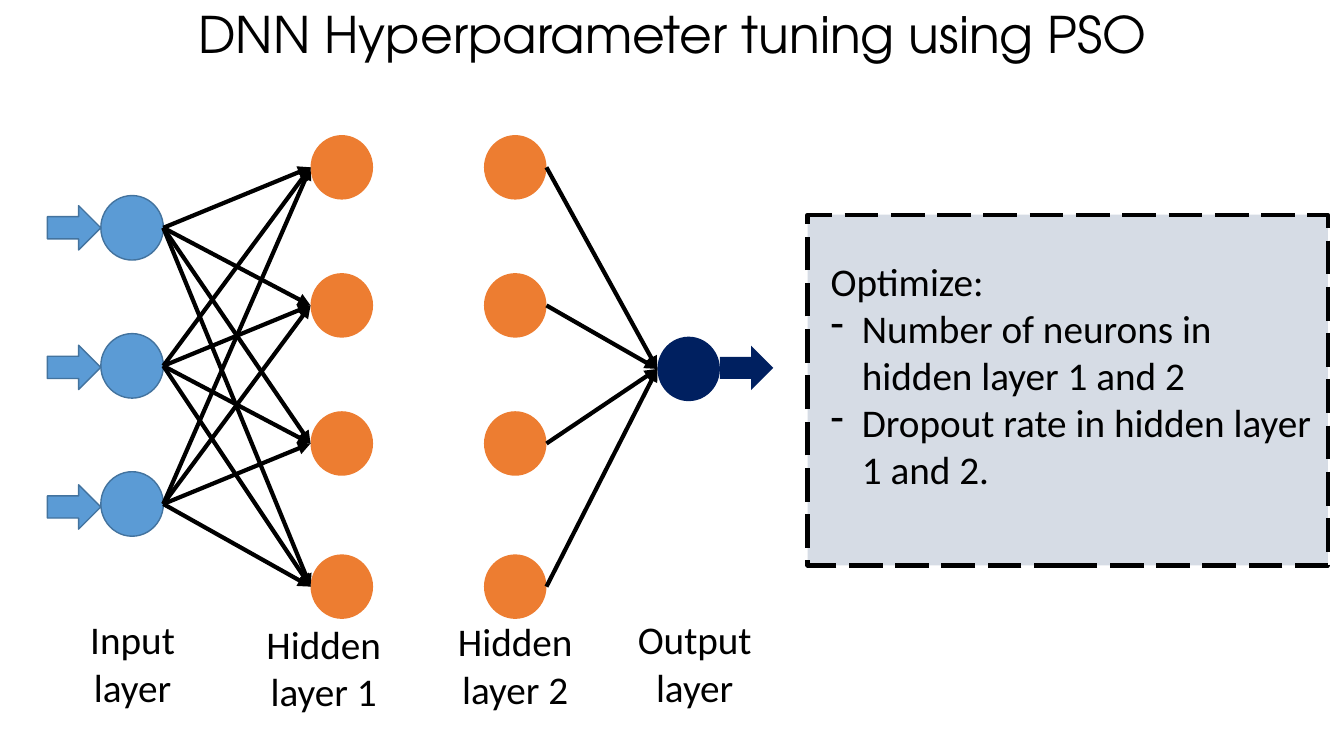
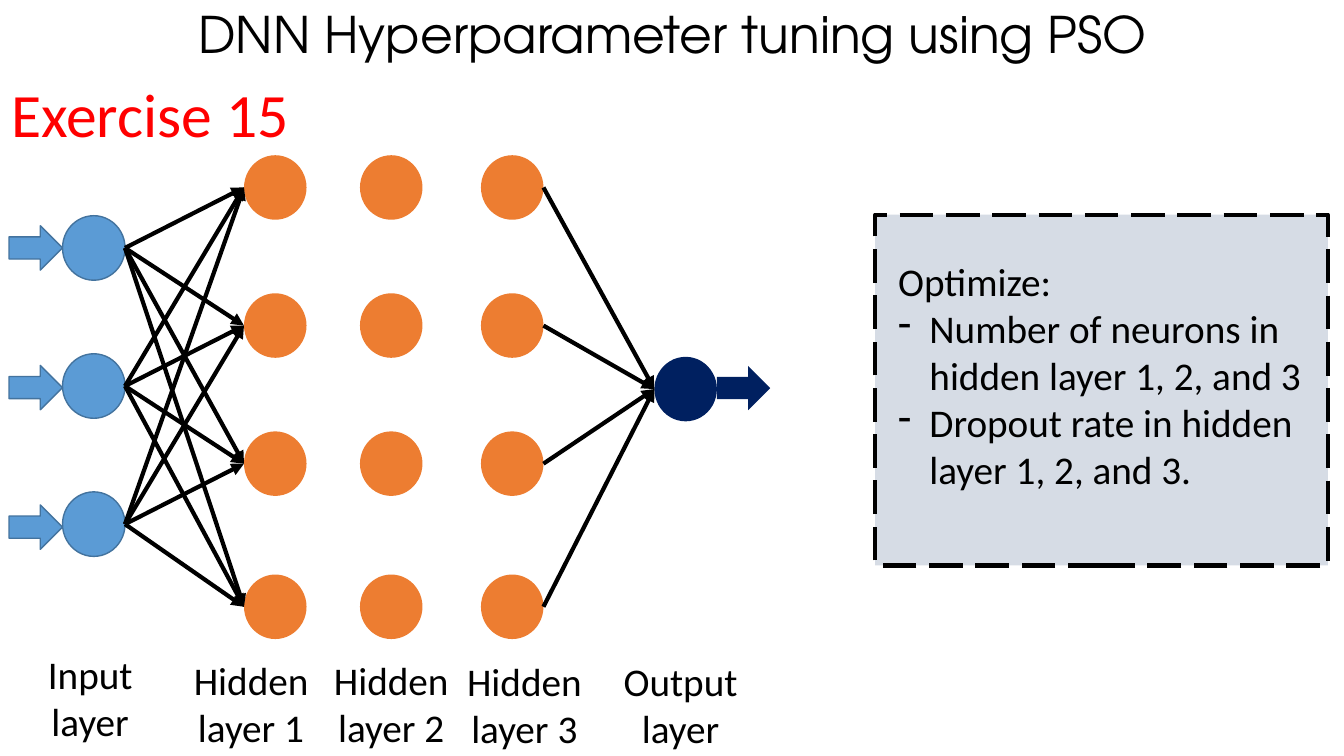
from itertools import product
from lxml import etree
from pptx import Presentation
from pptx import util as u
from pptx.dml.color import RGBColor
from pptx.enum import dml, shapes, text
from pptx.oxml.ns import qn

COLORS = {"input": "5B9BD5", "edge": "43739E", "hidden": "ED7D31", "output": "002060",
          "panel": "D6DCE5", "ink": "000000", "alert": "FF0000"}
TITLE = "DNN Hyperparameter tuning using PSO"
SLIDES = [
    {"top": 1.34, "input": 1, "hidden": [3.08, 4.8], "output": 6.52,
     "labels": [("Input layer", 0.68, 6.06, 1.27), ("Hidden layer 1", 2.35, 6.1, 1.72),
                ("Hidden layer 2", 4.25, 6.08, 1.72), ("Output layer", 6.2, 6.06, 1.38)],
     "panel": 8.01,
     "goals": ["Number of neurons in hidden layer 1 and 2",
               "Dropout rate in hidden layer 1 and 2."]},
    {"top": 1.54, "input": 0.62, "hidden": [2.42, 3.57, 4.77], "output": 6.49,
     "labels": [("Input layer", 0.26, 6.4, 1.27), ("Hidden layer 1", 1.63, 6.46, 1.72),
                ("Hidden layer 2", 3.02, 6.46, 1.72), ("Hidden layer 3", 4.34, 6.47, 1.72),
                ("Output layer", 6.06, 6.47, 1.38)],
     "panel": 8.68,
     "goals": ["Number of neurons in hidden layer 1, 2, and 3",
               "Dropout rate in hidden layer 1, 2, and 3."],
     "exercise": "Exercise 15"},
]
NODE_W, NODE_H = 0.62, 0.64
ARROW_W, ARROW_H = 0.53, 0.44
PANEL_RIGHT = 13.17
HIDDEN_ROWS = [0, 1.37, 2.74, 4.16]
INPUT_ROWS = [0.6 + 1.37 * i for i in range(3)]
INPUT_ARROW_ROWS = [0.7 + 1.385 * i for i in range(3)]
OUTPUT_ROW, OUTPUT_ARROW_ROW = 2, 2.09
SHAPE = shapes.MSO_SHAPE


def rgb(name):
    return RGBColor.from_string(COLORS[name])


def add_shape(s, kind, x, y, w, h, fill, edge=None, width=1):
    sp = s.shapes.add_shape(kind, *map(u.Inches, (x, y, w, h)))
    sp.shadow.inherit = False
    sp.fill.solid()
    sp.fill.fore_color.rgb = rgb(fill)
    if edge:
        sp.line.color.rgb = rgb(edge)
        sp.line.width = u.Pt(width)
    else:
        sp.line.fill.background()
    return sp


def add_node(s, x, y, fill, edge=None):
    add_shape(s, SHAPE.OVAL, x, y, NODE_W, NODE_H, fill, edge)


def add_arrow(s, x, y, fill, edge=None):
    add_shape(s, SHAPE.RIGHT_ARROW, x, y, ARROW_W, ARROW_H, fill, edge)


def add_link(s, x1, y1, x2, y2):
    ends = (x1 + NODE_W, y1 + NODE_H / 2, x2, y2 + NODE_H / 2)
    cx = s.shapes.add_connector(shapes.MSO_CONNECTOR.STRAIGHT, *map(u.Inches, ends))
    cx.line.color.rgb = rgb("ink")
    cx.line.width = u.Pt(3)
    etree.SubElement(cx.line._get_or_add_ln(), qn("a:tailEnd"), type="triangle")
    etree.SubElement(cx._element.spPr, qn("a:effectLst"))


def style(p, size, color="ink", font="Calibri"):
    for r in p.runs:
        r.font.size = u.Pt(size)
        r.font.name = font
        r.font.color.rgb = rgb(color)


def add_text(s, content, x, y, w, h, size=28, color="ink", font="Calibri", wrap=True):
    tf = s.shapes.add_textbox(*map(u.Inches, (x, y, w, h))).text_frame
    tf.word_wrap = wrap
    tf.text = content
    p = tf.paragraphs[0]
    p.alignment = text.PP_ALIGN.CENTER
    style(p, size, color, font)
    return tf


def add_title(s):
    tf = add_text(s, TITLE, 0.92, 0, 11.5, 0.73, 36, font="TeX Gyre Adventor")
    tf.vertical_anchor = text.MSO_ANCHOR.MIDDLE
    tf.paragraphs[0].line_spacing = 0.9


def add_panel(s, x, goals):
    sp = add_shape(s, SHAPE.RECTANGLE, x, 2.13, PANEL_RIGHT - x, 3.48, "panel", "ink", 3)
    sp.line.dash_style = dml.MSO_LINE.LONG_DASH
    tf = sp.text_frame
    tf.word_wrap = True
    tf.vertical_anchor = text.MSO_ANCHOR.MIDDLE
    tf.margin_bottom = u.Inches(0.35)
    tf.text = "\n".join(["Optimize:", *goals])
    for i, p in enumerate(tf.paragraphs):
        p.alignment = text.PP_ALIGN.LEFT
        style(p, 28)
        pPr = p._p.get_or_add_pPr()
        pPr.set("marL", str(u.Inches(0.44 if i else 0.13)))
        if i:
            pPr.set("indent", str(u.Inches(-0.31)))
            etree.SubElement(pPr, qn("a:buChar"), char="-")


def add_network(s, d):
    top, x_in, x_out = d["top"], d["input"], d["output"]
    for row, arrow_row in zip(INPUT_ROWS, INPUT_ARROW_ROWS):
        add_node(s, x_in, top + row, "input", "edge")
        add_arrow(s, x_in - ARROW_W, top + arrow_row, "input", "edge")
    for x, row in product(d["hidden"], HIDDEN_ROWS):
        add_node(s, x, top + row, "hidden")
    add_node(s, x_out, top + OUTPUT_ROW, "output")
    add_arrow(s, x_out + NODE_W, top + OUTPUT_ARROW_ROW, "output")
    for a, b in product(INPUT_ROWS, HIDDEN_ROWS):
        add_link(s, x_in, top + a, d["hidden"][0], top + b)
    for row in HIDDEN_ROWS:
        add_link(s, d["hidden"][-1], top + row, x_out, top + OUTPUT_ROW)


def main():
    prs = Presentation()
    prs.slide_width, prs.slide_height = u.Inches(13.33), u.Inches(7.5)
    for d in SLIDES:
        s = prs.slides.add_slide(prs.slide_layouts[6])
        add_title(s)
        add_network(s, d)
        for label, x, y, w in d["labels"]:
            add_text(s, label, x, y, w, 1.04)
        add_panel(s, d["panel"], d["goals"])
        if "exercise" in d:
            add_text(s, d["exercise"], 0, 0.7, 2.98, 0.84, 44, "alert", wrap=False)
    prs.save("out.pptx")


if __name__ == "__main__":
    main()
